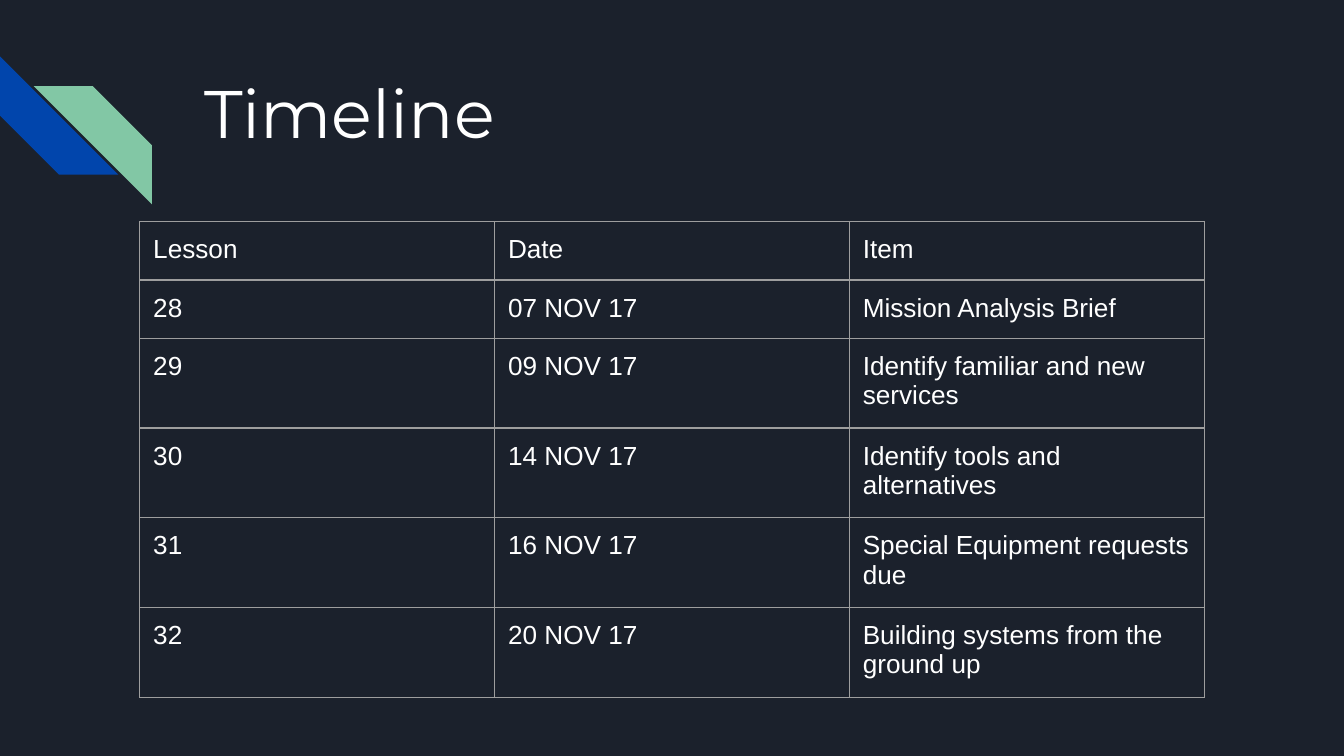
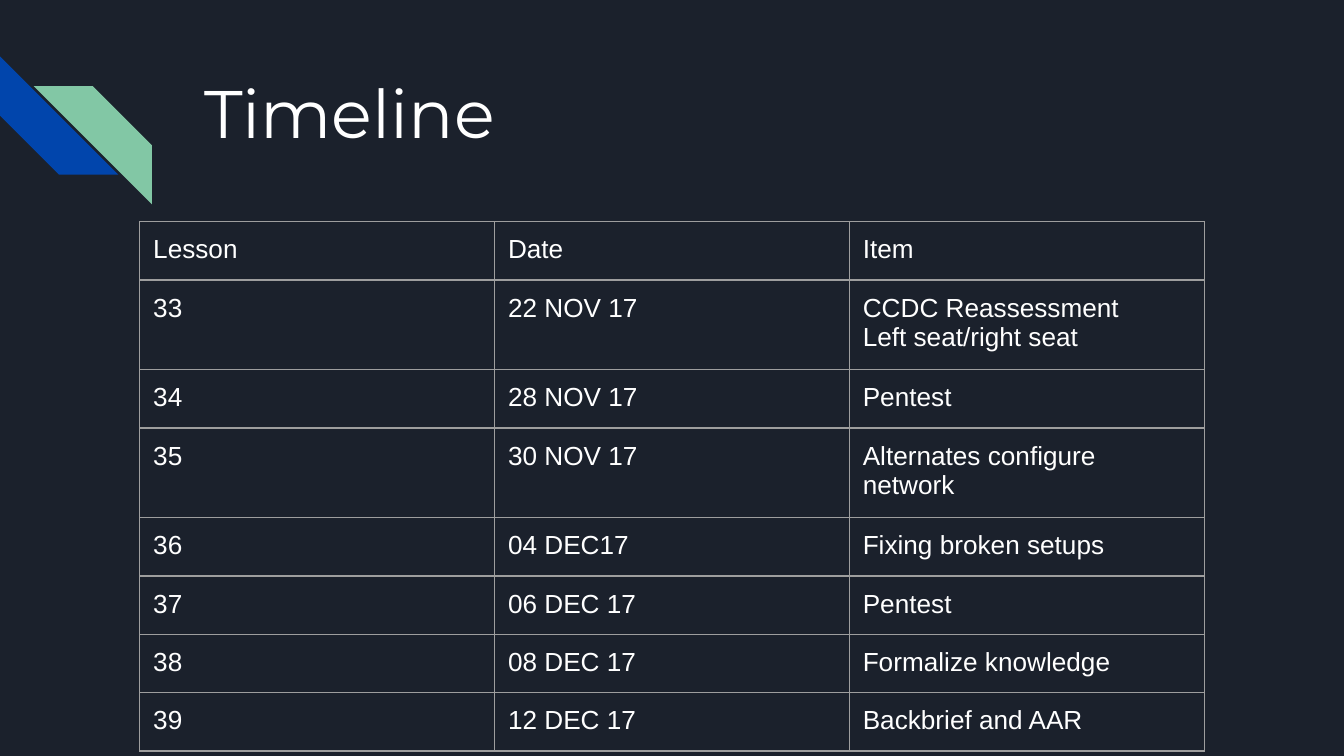
from lxml import etree
from pptx import Presentation
from pptx import util as u
from pptx.dml.color import RGBColor
from pptx.enum import shapes
from pptx.oxml import ns

NAVY, BLUE, GREEN = "1B212C", "0145AC", "82C7A5"
WHITE, GRAY = "FFFFFF", "9E9E9E"
HEADER = ("Lesson", "Date", "Item")
STRIPES = ((0, 0.42, 270, BLUE), (0.25, 0.64, 90, GREEN))
SCHEDULES = (
    (
        ("28", "07 NOV 17", "Mission Analysis Brief"),
        ("29", "09 NOV 17", "Identify familiar and new services"),
        ("30", "14 NOV 17", "Identify tools and alternatives"),
        ("31", "16 NOV 17", "Special Equipment requests due"),
        ("32", "20 NOV 17", "Building systems from the ground up"),
    ),
    (
        ("33", "22 NOV 17", "CCDC Reassessment\nLeft seat/right seat"),
        ("34", "28 NOV 17", "Pentest"),
        ("35", "30 NOV 17", "Alternates configure network"),
        ("36", "04 DEC17", "Fixing broken setups"),
        ("37", "06 DEC 17", "Pentest"),
        ("38", "08 DEC 17", "Formalize knowledge"),
        ("39", "12 DEC 17", "Backbrief and AAR"),
    ),
)


def paint(fill, color):
    fill.solid()
    fill.fore_color.rgb = RGBColor.from_string(color)


def write(holder, text, size=14, font="Arial", color=WHITE):
    holder.margin_left = holder.margin_right = u.Inches(0.1)
    holder.margin_top = holder.margin_bottom = u.Inches(0.1)
    frame = getattr(holder, "text_frame", holder)
    frame.word_wrap = True
    frame.text = text
    for para in frame.paragraphs:
        for span in para.runs:
            span.font.size = u.Pt(size)
            span.font.name = font
            paint(span.font.fill, color)
        ending = etree.SubElement(para._p, ns.qn("a:endParaRPr"), sz=str(size * 100))
        etree.SubElement(ending, ns.qn("a:latin"), typeface=font)


deck = Presentation()
deck.slide_width = u.Inches(10)
deck.slide_height = deck.slide_width * 9 // 16
paint(deck.slide_master.background.fill, NAVY)

for schedule in SCHEDULES:
    page = deck.slides.add_slide(deck.slide_layouts[6])

    for left, top, angle, color in STRIPES:
        stripe = page.shapes.add_shape(
            shapes.MSO_SHAPE.DIAGONAL_STRIPE,
            u.Inches(left), u.Inches(top), u.Inches(0.88), u.Inches(0.88))
        stripe.adjustments[0] = 0.5
        stripe.rotation = angle
        stripe.shadow.inherit = False
        stripe.line.fill.background()
        paint(stripe.fill, color)

    box = page.shapes.add_textbox(
        u.Inches(1.42), u.Inches(0.43), u.Inches(7.7), u.Inches(1))
    write(box.text_frame, "Timeline", size=36, font="Montserrat")

    rows = (HEADER, *schedule)
    table = page.shapes.add_table(
        len(rows), len(HEADER), u.Inches(1.04), u.Inches(1.65),
        u.Inches(2.64 * len(HEADER)), u.Inches(0.42 * len(rows))).table
    table.first_row = table.horz_banding = False
    style = table._tbl.tblPr.find(ns.qn("a:tableStyleId"))
    table._tbl.tblPr.remove(style)
    for row, values in enumerate(rows):
        for column, value in enumerate(values):
            cell = table.cell(row, column)
            write(cell, value)
            properties = cell._tc.get_or_add_tcPr()
            for side in ("a:lnL", "a:lnR", "a:lnT", "a:lnB"):
                border = etree.SubElement(properties, ns.qn(side), w=str(u.Pt(0.75)))
                solid = etree.SubElement(border, ns.qn("a:solidFill"))
                etree.SubElement(solid, ns.qn("a:srgbClr"), val=GRAY)
            cell.fill.background()

deck.save("out.pptx")
